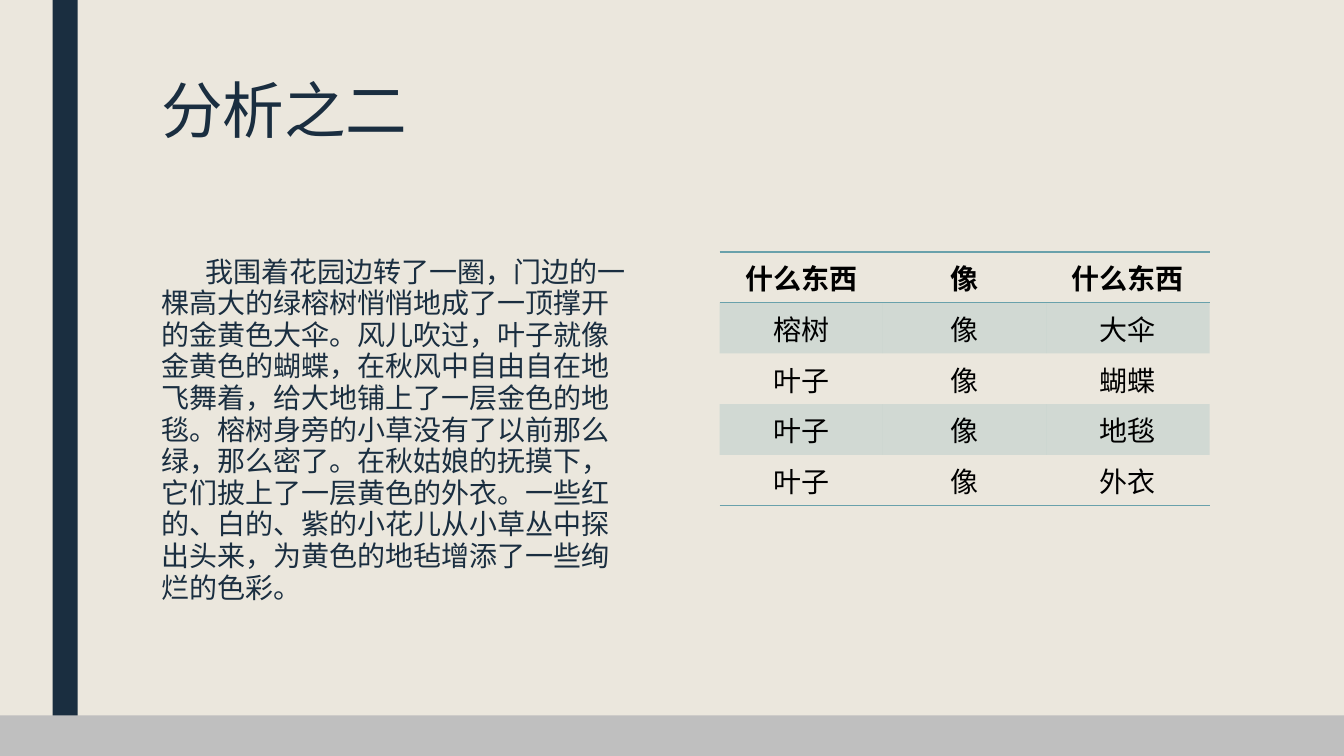
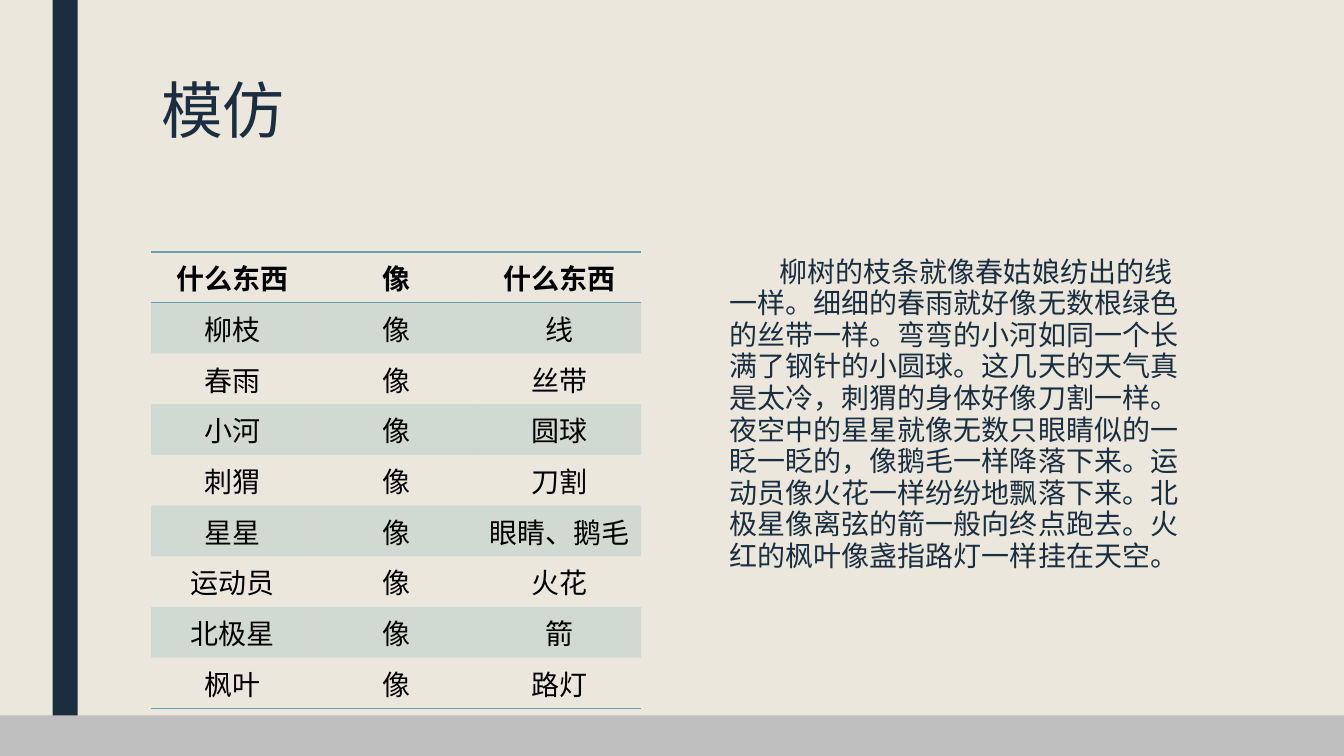
import pptx
import pptx.dml.color
import pptx.enum.lang
import pptx.enum.shapes
import pptx.enum.text
import pptx.oxml.ns
import pptx.util
from lxml import etree

Pt = pptx.util.Pt
RGBColor = pptx.dml.color.RGBColor
qn = pptx.oxml.ns.qn

CREAM = RGBColor(0xEB, 0xE7, 0xDD)
NAVY = RGBColor(0x1A, 0x2E, 0x40)
GREY = RGBColor(0xBF, 0xBF, 0xBF)
TEAL = RGBColor(0x69, 0xA1, 0xAB)
BLACK = RGBColor(0, 0, 0)

WIDTH, HEIGHT = 960, 540
TITLE_BOX = (108, 54, 756, 116.6)
LEFT_BOX = (108, 180, 350, 282)
RIGHT_BOX = (514, 180, 350, 282)
ROW_HEIGHT = 36.25
HEADER = ("什么东西", "像", "什么东西")
NO_STYLE = "{2D5ABB26-0587-4C30-8999-92F81FD0307C}"

TREE_TEXT = (
    "我围着花园边转了一圈，门边的一棵高大的绿榕树悄悄地成了一顶撑开的金黄色大伞。"
    "风儿吹过，叶子就像金黄色的蝴蝶，在秋风中自由自在地飞舞着，给大地铺上了一层金色的地毯。"
    "榕树身旁的小草没有了以前那么绿，那么密了。在秋姑娘的抚摸下，它们披上了一层黄色的外衣。"
    "一些红的、白的、紫的小花儿从小草丛中探出头来，为黄色的地毡增添了一些绚烂的色彩。"
)
WILLOW_TEXT = (
    "柳树的枝条就像春姑娘纺出的线一样。细细的春雨就好像无数根绿色的丝带一样。"
    "弯弯的小河如同一个长满了钢针的小圆球。这几天的天气真是太冷，刺猬的身体好像刀割一样。"
    "夜空中的星星就像无数只眼睛似的一眨一眨的，像鹅毛一样降落下来。"
    "运动员像火花一样纷纷地飘落下来。北极星像离弦的箭一般向终点跑去。"
    "火红的枫叶像盏指路灯一样挂在天空。"
)
TREE_PAIRS = [("榕树", "大伞"), ("叶子", "蝴蝶"), ("叶子", "地毯"), ("叶子", "外衣")]
WILLOW_PAIRS = [
    ("柳枝", "线"), ("春雨", "丝带"), ("小河", "圆球"), ("刺猬", "刀割"),
    ("星星", "眼睛、鹅毛"), ("运动员", "火花"), ("北极星", "箭"), ("枫叶", "路灯"),
]


def add_run(p, text, size, color, font="Roboto", bold=False):
    """Append one formatted run to a paragraph."""
    r = p.add_run()
    r.text = text
    r.font.name = font
    r.font.size = Pt(size)
    r.font.bold = bold
    r.font.color.rgb = color
    r.font.language_id = pptx.enum.lang.MSO_LANGUAGE_ID.SIMPLIFIED_CHINESE


def add_bar(s, box, color):
    """Draw a plain filled rectangle."""
    sp = s.shapes.add_shape(
        pptx.enum.shapes.MSO_SHAPE.RECTANGLE, *map(Pt, box))
    sp.shadow.inherit = False
    sp.fill.solid()
    sp.fill.fore_color.rgb = color
    sp.line.fill.background()


def add_paragraph_box(s, box, line_spacing):
    """Add a wrapping text box and return its first paragraph."""
    tf = s.shapes.add_textbox(*map(Pt, box)).text_frame
    tf.word_wrap = True
    p = tf.paragraphs[0]
    p.line_spacing = line_spacing
    return p


def add_body(s, box, text, indent, font):
    """Add the reading passage with an indented first line."""
    p = add_paragraph_box(s, box, 0.94)
    p.space_before = Pt(10)
    p.space_after = Pt(2)
    p._p.get_or_add_pPr().set("indent", str(Pt(indent)))
    add_run(p, text, 20, NAVY, font)


def add_border(cell, tag):
    """Put a thin teal line on one side of a cell."""
    ln = etree.Element(qn(tag), w=str(Pt(1)))
    fill = etree.SubElement(ln, qn("a:solidFill"))
    etree.SubElement(fill, qn("a:srgbClr"), val=str(TEAL))
    cell._tc.get_or_add_tcPr().insert(0, ln)


def shade(cell):
    """Fill a cell with translucent teal."""
    cell.fill.solid()
    cell.fill.fore_color.rgb = TEAL
    color = cell._tc.tcPr.find(".//" + qn("a:srgbClr"))
    etree.SubElement(color, qn("a:alpha"), val="20000")


def add_simile_table(s, box, pairs):
    """Add the three-column table of similes."""
    left, top, width, _ = box
    rows = [HEADER] + [(thing, "像", image) for thing, image in pairs]
    frame = s.shapes.add_table(
        len(rows), len(HEADER), Pt(left), Pt(top), Pt(width),
        Pt(ROW_HEIGHT * len(rows)))
    frame.element.find(".//" + qn("a:tableStyleId")).text = NO_STYLE
    for i, row in enumerate(rows):
        frame.table.rows[i].height = Pt(ROW_HEIGHT)
        for j, text in enumerate(row):
            cell = frame.table.cell(i, j)
            p = cell.text_frame.paragraphs[0]
            p.alignment = pptx.enum.text.PP_ALIGN.CENTER
            add_run(p, text, 20, BLACK, bold=i == 0)
            if i % 2:
                shade(cell)
            else:
                cell.fill.background()
            if i in (0, len(rows) - 1):
                add_border(cell, "a:lnB")
            if i == 0:
                add_border(cell, "a:lnT")


def add_simile_slide(prs, title, text, text_box, indent, font, pairs, table_box):
    """Add a titled slide with a passage beside its simile table."""
    s = prs.slides.add_slide(prs.slide_layouts[6])
    add_bar(s, (37.5, 0, 18, HEIGHT), NAVY)
    add_bar(s, (0, 511, WIDTH, HEIGHT - 511), GREY)
    add_run(add_paragraph_box(s, TITLE_BOX, 0.89), title, 44, NAVY)
    add_body(s, text_box, text, indent, font)
    add_simile_table(s, table_box, pairs)


def main():
    """Build and save the presentation."""
    prs = pptx.Presentation()
    prs.slide_width, prs.slide_height = Pt(WIDTH), Pt(HEIGHT)
    fill = prs.slide_master.background.fill
    fill.solid()
    fill.fore_color.rgb = CREAM
    add_simile_slide(prs, "分析之二", TREE_TEXT, LEFT_BOX, 31.4, "Roboto",
                     TREE_PAIRS, RIGHT_BOX)
    add_simile_slide(prs, "模仿", WILLOW_TEXT, RIGHT_BOX, 35.8, "Arial",
                     WILLOW_PAIRS, LEFT_BOX)
    prs.save("out.pptx")


if __name__ == "__main__":
    main()
